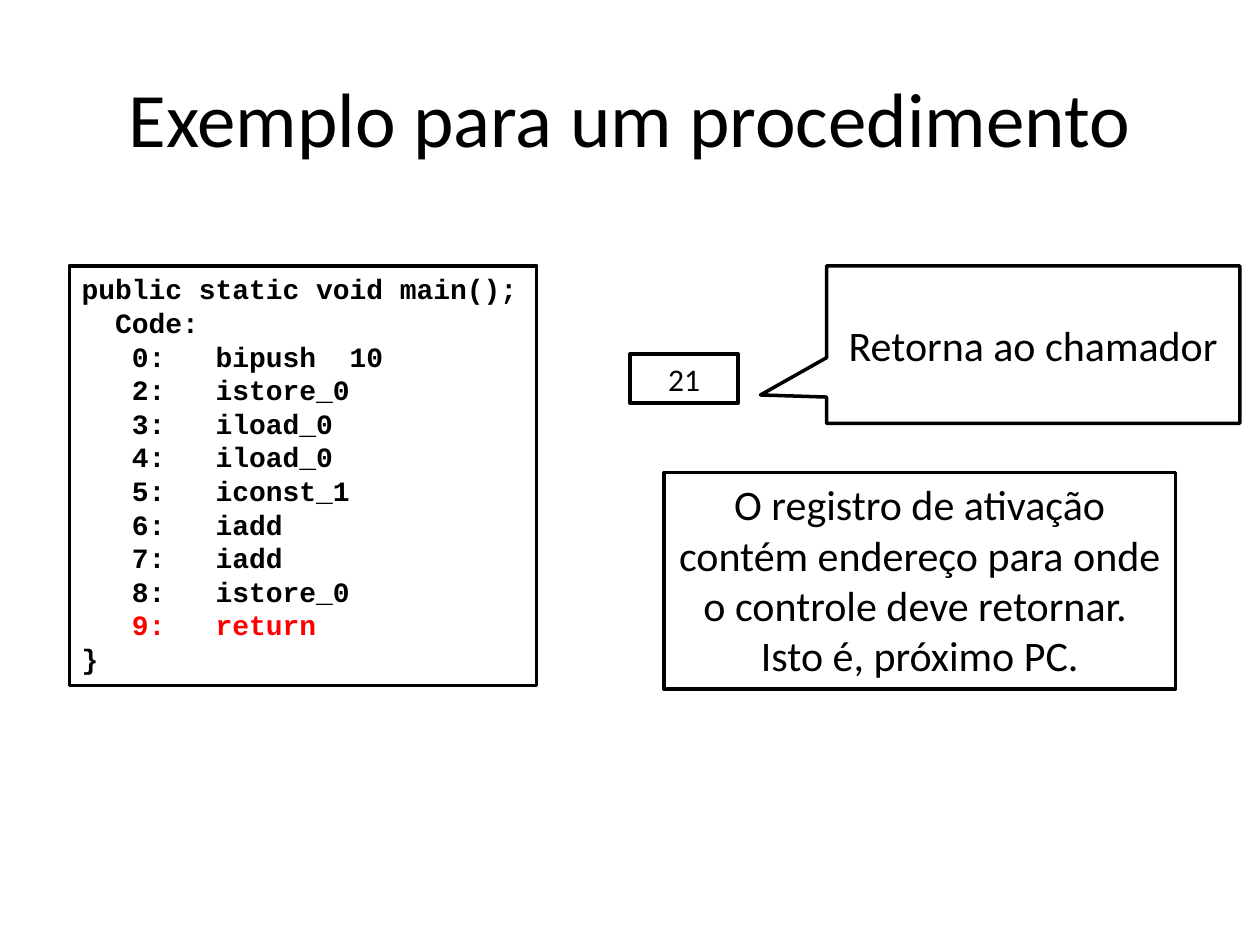
from pptx import Presentation
from pptx.dml.color import RGBColor
from pptx.enum.shapes import MSO_SHAPE
from pptx.enum.text import MSO_ANCHOR, PP_ALIGN
from pptx.util import Inches, Pt

RECT, CALL = MSO_SHAPE.RECTANGLE, MSO_SHAPE.RECTANGULAR_CALLOUT
TOP, MID = MSO_ANCHOR.TOP, MSO_ANCHOR.MIDDLE
LEFT, MIDST = PP_ALIGN.LEFT, PP_ALIGN.CENTER
BLACK, WHITE, RED = "000000", "FFFFFF", "FF0000"

TITLE = "Exemplo para um procedimento"
OPS = [(0, "bipush  10"), (2, "istore_0"), (3, "iload_0"), (4, "iload_0"),
       (5, "iconst_1"), (6, "iadd"), (7, "iadd"), (8, "istore_0"),
       (9, "return")]
CODE = ["public static void main();", "  Code:",
        *[f"{pc:>4}:   {op}" for pc, op in OPS], "}"]
NOTE = ("O registro de ativação contém endereço para onde "
        "o controle deve retornar.  Isto é, próximo PC.")
BOXES = [
    (RECT, (5, 2.81, 0.86, 0.39), "21", 18, MID),
    (CALL, (6.56, 2.11, 3.28, 1.25), "Retorna ao chamador", 24, MID),
    (RECT, (5.27, 3.75, 4.06, 1.72), NOTE, 24, TOP),
]


def color(hex):
    return RGBColor.from_string(hex)


def write(shape, lines, size, face="Calibri", align=MIDST, anchor=MID,
          bold=False, wrap=True):
    frame = shape.text_frame
    frame.word_wrap = wrap
    frame.vertical_anchor = anchor
    frame.text = "\n".join(lines)
    for para in frame.paragraphs:
        para.alignment = align
        font = para.font
        font.name, font.size, font.bold = face, Pt(size), bold
        font.color.rgb = color(BLACK)
    return frame


def box(kind, area):
    shape = slide.shapes.add_shape(kind, *map(Inches, area))
    shape.shadow.inherit = False
    shape.fill.solid()
    shape.fill.fore_color.rgb = color(WHITE)
    shape.line.color.rgb = color(BLACK)
    shape.line.width = Pt(2)
    return shape


deck = Presentation()
deck.slide_width, deck.slide_height = Inches(10), Inches(7.5)
slide = deck.slides.add_slide(deck.slide_layouts[6])

head = slide.shapes.add_textbox(*map(Inches, (0.5, 0.3, 9, 1.25)))
write(head, [TITLE], 44)

code = write(box(RECT, (0.55, 2.11, 3.71, 3.33)), CODE, 16, "Courier New",
             LEFT, TOP, True, False)
code.paragraphs[-2].font.color.rgb = color(RED)

for kind, area, text, size, anchor in BOXES:
    shape = box(kind, area)
    write(shape, [text], size, anchor=anchor)
    if kind == CALL:
        shape.adjustments[0], shape.adjustments[1] = -0.66, 0.32

deck.save("out.pptx")
